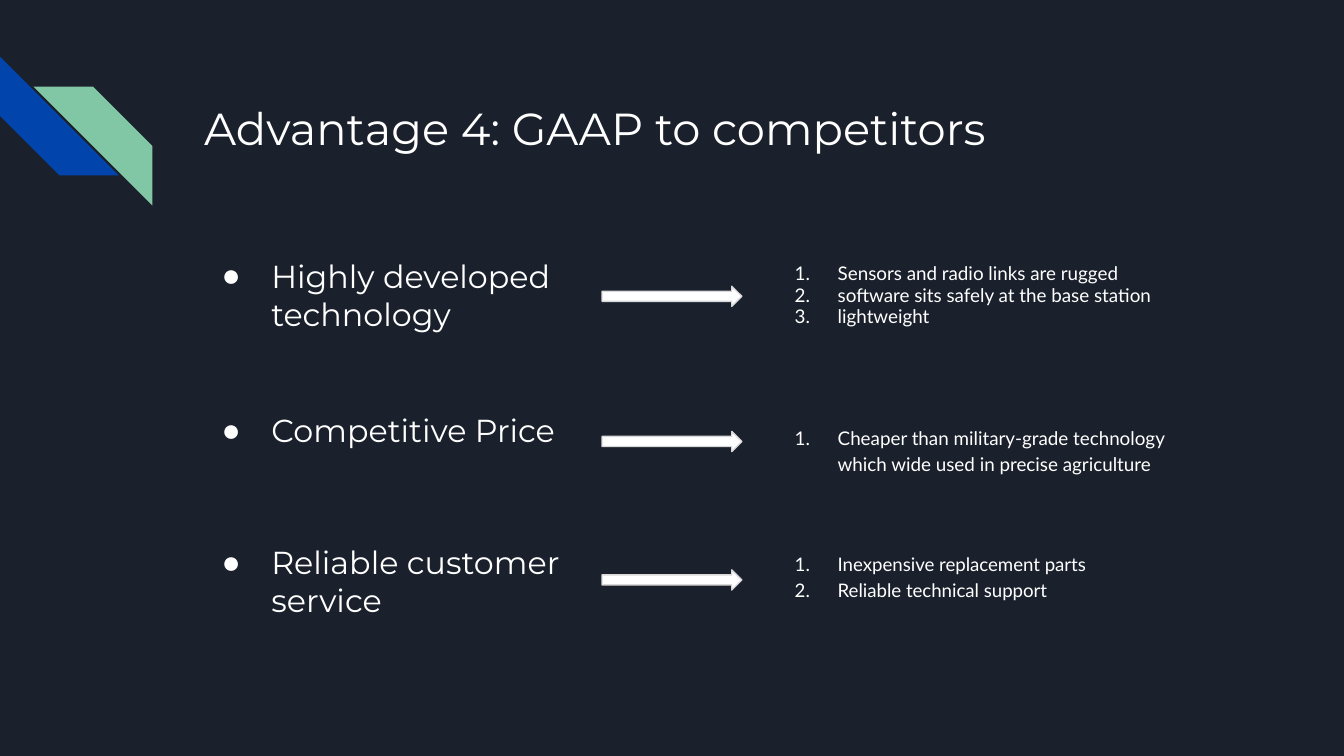
from dataclasses import dataclass

from lxml.etree import SubElement
from pptx import Presentation
from pptx.dml.color import RGBColor
from pptx.enum.shapes import MSO_SHAPE
from pptx.enum.text import MSO_ANCHOR
from pptx.oxml.ns import qn
from pptx.util import Emu, Pt

PX = 4572  # 200 px to the inch
NAVY = RGBColor(0x1B, 0x21, 0x2C)
BLUE = RGBColor(0x01, 0x45, 0xAC)
MINT = RGBColor(0x82, 0xC7, 0xA5)
WHITE = RGBColor(0xFF, 0xFF, 0xFF)
GREY = RGBColor(0xD9, 0xD9, 0xD9)
HEADING_FONT, DETAIL_FONT = "Montserrat", "Lato"


@dataclass(frozen=True)
class Box:
    left: int
    top: int
    width: int
    height: int

    def emu(self) -> tuple[Emu, ...]:
        return tuple(Emu(v * PX) for v in (self.left, self.top, self.width, self.height))


@dataclass(frozen=True)
class Advantage:
    heading: str
    details: tuple[str, ...]
    heading_top: int
    arrow_top: int
    details_top: int
    detail_size: float = 10.1
    spacing: float = 1.15


@dataclass(frozen=True)
class Marker:
    tag: str
    attribute: str
    value: str
    font: str
    hanging: int


DOT = Marker("a:buChar", "char", "●", "Arial", 74)
NUMBER = Marker("a:buAutoNum", "type", "arabicPeriod", DETAIL_FONT, 64)

ADVANTAGES = (
    Advantage("Highly developed technology",
              ("Sensors and radio links are rugged",
               "software sits safely at the base station",
               "lightweight"),
              362, 426, 372, spacing=0.95),
    Advantage("Competitive Price",
              ("Cheaper than military-grade technology which wide used in precise agriculture",),
              592, 642, 610),
    Advantage("Reliable customer service",
              ("Inexpensive replacement parts", "Reliable technical support"),
              788, 848, 798, detail_size=10),
)


def add_marker(paragraph, marker: Marker) -> None:
    properties = paragraph._p.get_or_add_pPr()
    properties.set("marL", str(100 * PX))
    properties.set("indent", str(-marker.hanging * PX))
    color = SubElement(properties, qn("a:buClr"))
    SubElement(color, qn("a:srgbClr")).set("val", str(WHITE))
    SubElement(properties, qn("a:buFont")).set("typeface", marker.font)
    SubElement(properties, qn(marker.tag)).set(marker.attribute, marker.value)


def add_text(slide, box: Box, lines: tuple[str, ...], font: str, size: float,
             marker: Marker | None = None, spacing: float = 1.0) -> None:
    frame = slide.shapes.add_textbox(*box.emu()).text_frame
    frame.word_wrap = True
    frame.vertical_anchor = MSO_ANCHOR.TOP
    frame.margin_left = frame.margin_right = Emu(20 * PX)
    frame.margin_top = frame.margin_bottom = Emu(20 * PX)
    frame.text = "\n".join(lines)
    for paragraph in frame.paragraphs:
        if marker:
            add_marker(paragraph, marker)
        paragraph.line_spacing = spacing
        for run in paragraph.runs:
            run.font.name = font
            run.font.size = Pt(size)
            run.font.color.rgb = WHITE


def add_solid(slide, kind: MSO_SHAPE, box: Box, fill: RGBColor):
    solid = slide.shapes.add_shape(kind, *box.emu())
    solid.shadow.inherit = False
    solid.fill.solid()
    solid.fill.fore_color.rgb = fill
    solid.line.fill.background()
    return solid


def add_arrow(slide, top: int) -> None:
    arrow = add_solid(slide, MSO_SHAPE.RIGHT_ARROW, Box(896, top, 208, 30), WHITE)
    arrow.line.color.rgb = GREY
    arrow.line.width = Pt(0.75)


def add_advantage(slide, advantage: Advantage) -> None:
    add_text(slide, Box(284, advantage.heading_top, 664, 162),
             (advantage.heading,), HEADING_FONT, 17, DOT)
    add_arrow(slide, advantage.arrow_top)
    add_text(slide, Box(1127, advantage.details_top, 694, 144), advantage.details,
             DETAIL_FONT, advantage.detail_size, NUMBER, advantage.spacing)


def main() -> None:
    presentation = Presentation()
    presentation.slide_width = Emu(2000 * PX)
    presentation.slide_height = Emu(1125 * PX)
    slide = presentation.slides.add_slide(presentation.slide_layouts[6])
    slide.background.fill.solid()
    slide.background.fill.fore_color.rgb = NAVY

    # Corner stripes
    blue_stripe = add_solid(slide, MSO_SHAPE.DIAGONAL_STRIPE, Box(0, 84, 177, 177), BLUE)
    blue_stripe.rotation = 270
    mint_stripe = add_solid(slide, MSO_SHAPE.DIAGONAL_STRIPE, Box(50, 129, 177, 177), MINT)
    mint_stripe._element.spPr.xfrm.set("flipH", "1")

    # Title
    add_text(slide, Box(284, 130, 1388, 122), ("Advantage 4: GAAP to competitors",),
             HEADING_FONT, 24)

    # Advantages, each pointing to its details
    for advantage in ADVANTAGES:
        add_advantage(slide, advantage)

    presentation.save("out.pptx")


if __name__ == "__main__":
    main()
